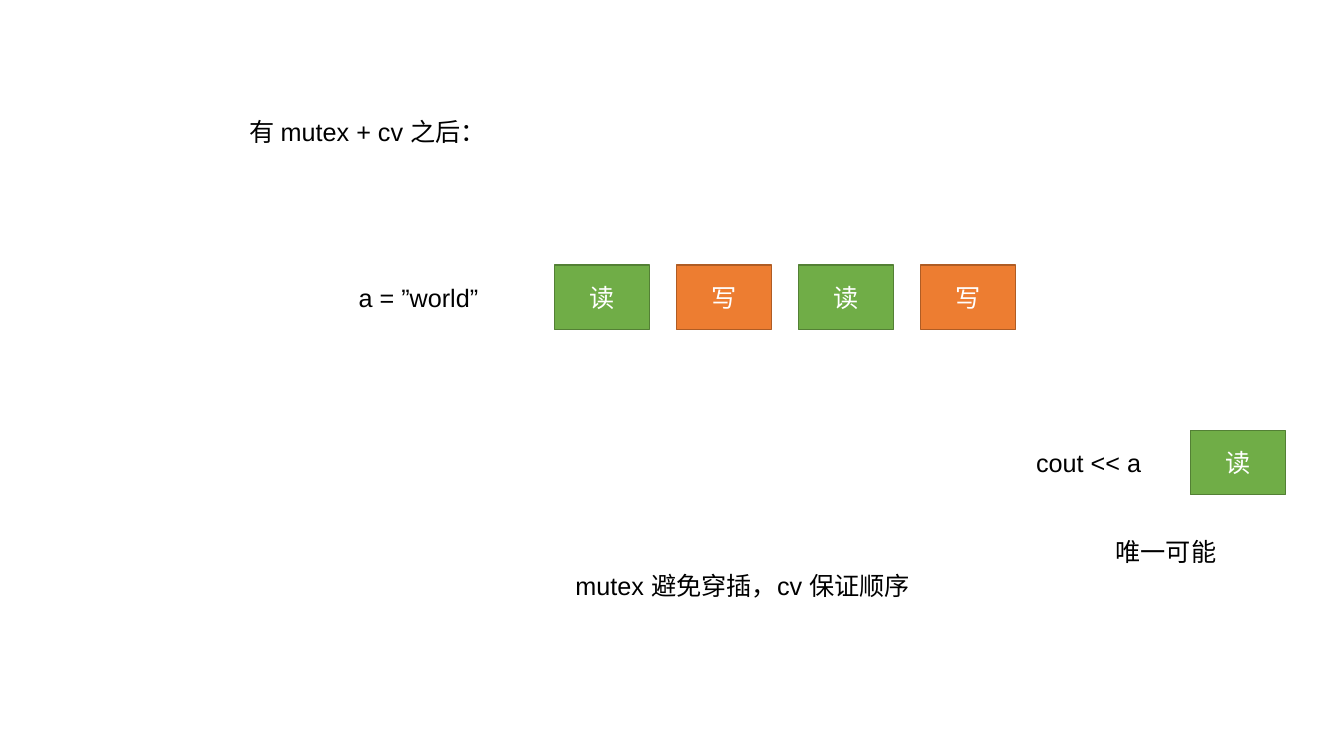
from pptx import Presentation
from pptx.dml.color import RGBColor
from pptx.enum.shapes import MSO_SHAPE as Shape
from pptx.enum.text import MSO_ANCHOR as Anchor, MSO_AUTO_SIZE as AutoSize, PP_ALIGN as Align
from pptx.util import Pt

THEME = {
    "font": "Arial",
    "size": 18,
    "text": "000000",
    "box_text": "FFFFFF",
    "outline": 1,
    "读": ("70AD47", "538035"),  # fill, outline
    "写": ("ED7D31", "AF5C24"),
}

# Content: text, left, top, width, wraps
NOTES = [
    ("有 mutex + cv 之后：", 171.4, 79.9, 183.6, False),
    ("唯一可能", 789.8, 379.4, 86.4, False),
    ("mutex 避免穿插，cv 保证顺序", 403.9, 403.9, 253.4, True),
]
# Statement, its left and width, then its steps, their left and top
THREADS = [
    ("a = ”world”", 249.1, 100, ["读", "写", "读", "写"], 396, 189.4),
    ("cout << a", 733, 89.3, ["读"], 850.3, 307.4),
]
BOX_WIDTH, BOX_HEIGHT, BOX_PITCH = 67.9, 46.1, 87.2
LABEL_HEIGHT = 29.08


def color(name):
    return RGBColor.from_string(name)


def write(text_frame, text, text_color):
    text_frame.text = text
    font = text_frame.paragraphs[0].runs[0].font
    font.name = THEME["font"]
    font.size = Pt(THEME["size"])
    font.color.rgb = color(text_color)


def add_label(shapes, text, left, top, width, wraps=False):
    label = shapes.add_textbox(Pt(left), Pt(top), Pt(width), Pt(LABEL_HEIGHT))
    write(label.text_frame, text, THEME["text"])
    label.text_frame.word_wrap = wraps
    label.text_frame.auto_size = AutoSize.SHAPE_TO_FIT_TEXT


def add_step(shapes, step, left, top):
    box = shapes.add_shape(Shape.RECTANGLE, Pt(left), Pt(top), Pt(BOX_WIDTH), Pt(BOX_HEIGHT))
    fill, outline = THEME[step]
    box.shadow.inherit = False
    box.fill.solid()
    box.fill.fore_color.rgb = color(fill)
    box.line.color.rgb = color(outline)
    box.line.width = Pt(THEME["outline"])
    write(box.text_frame, step, THEME["box_text"])
    box.text_frame.vertical_anchor = Anchor.MIDDLE
    box.text_frame.paragraphs[0].alignment = Align.CENTER


def main():
    presentation = Presentation()
    presentation.slide_width, presentation.slide_height = Pt(960), Pt(540)
    slide = presentation.slides.add_slide(presentation.slide_layouts[6])

    # Each thread: its statement, centred on a row of steps
    for statement, label_left, label_width, steps, left, top in THREADS:
        shapes = slide.shapes.add_group_shape().shapes
        label_top = top + (BOX_HEIGHT - LABEL_HEIGHT) / 2
        add_label(shapes, statement, label_left, label_top, label_width)
        for index, step in enumerate(steps):
            add_step(shapes, step, left + index * BOX_PITCH, top)

    # Heading and remarks
    for note in NOTES:
        add_label(slide.shapes, *note)

    presentation.save("out.pptx")


if __name__ == "__main__":
    main()
